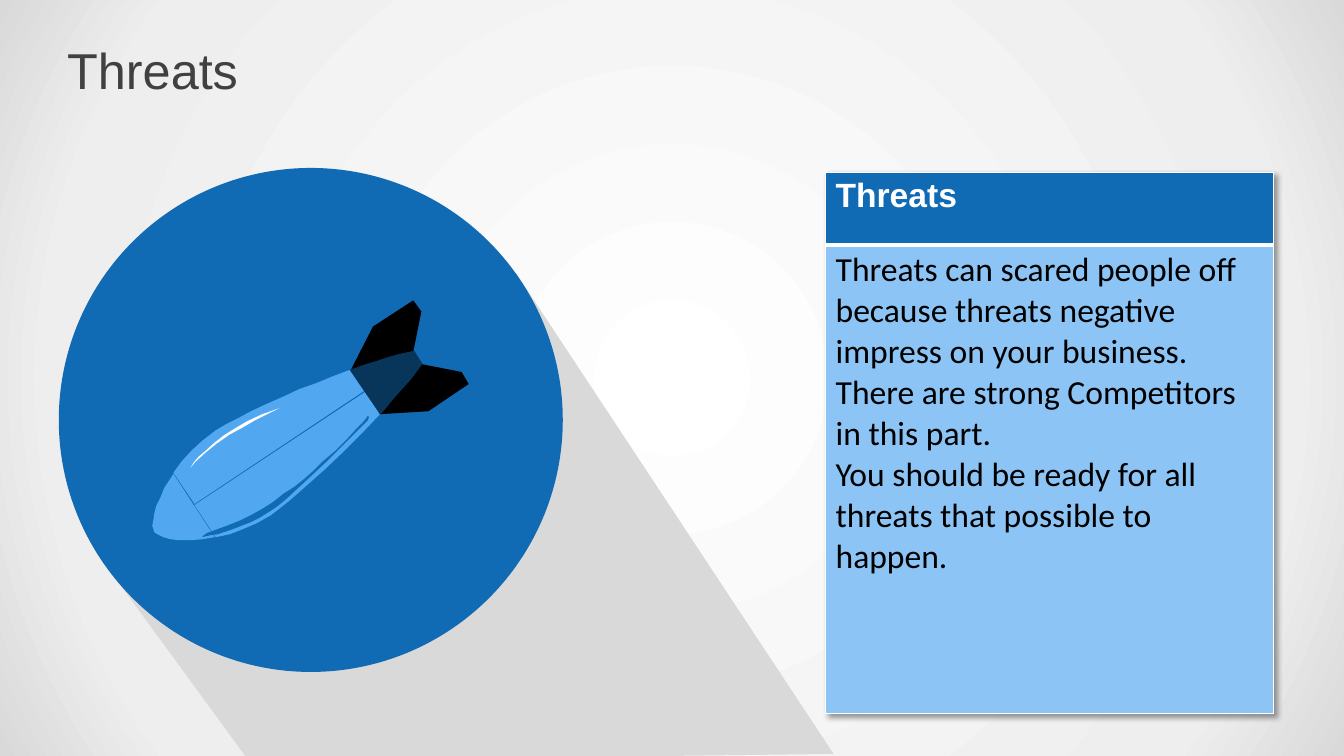
from lxml import etree
from pptx import Presentation
from pptx.dml.color import RGBColor
from pptx.enum import shapes, text
from pptx.oxml import ns
from pptx.util import Pt

WHITE = RGBColor(0xFF, 0xFF, 0xFF)
BLACK = RGBColor(0, 0, 0)
CHARCOAL = RGBColor(0x40, 0x40, 0x40)
SILVER = RGBColor(0xD9, 0xD9, 0xD9)
MIST = RGBColor(0xEE, 0xEE, 0xEE)
BLUE = RGBColor(0x10, 0x6A, 0xB4)
SKY = RGBColor(0x52, 0xA8, 0xF0)
PALE = RGBColor(0x8C, 0xC5, 0xF5)
NAVY = RGBColor(0x08, 0x35, 0x5A)

BACKDROP = ((0, WHITE), (81, MIST), (100, SILVER))
TITLE_FONT = {"name": "Arial", "size": Pt(36), "color": CHARCOAL}
HEADER_FONT = {"name": "Arial", "size": Pt(24), "bold": True, "color": WHITE}
BODY_FONT = {"name": "Calibri", "size": Pt(24), "bold": False, "color": BLACK}
UNIT = Pt(0.72)

LONG_SHADOW = [(512, 271), (827, 748), (247, 755), (95, 547)]
UPPER_FIN = [(410, 298), (418, 309), (408, 359), (347, 369), (370, 324)]
LOWER_FIN = [(407, 359), (458, 369), (465, 381), (425, 408), (375, 411)]
LOWER_BODY = [
    (362, 389), (377, 411), (359, 430), (341, 448), (322, 466), (304, 482),
    (288, 496), (278, 504), (269, 511), (262, 515), (255, 519), (241, 525),
    (228, 530), (214, 533), (193, 501)]
UPPER_BODY = [
    (347, 367), (361, 388), (193, 500), (172, 469), (180, 458), (190, 447),
    (201, 437), (214, 427), (224, 421), (236, 415), (249, 408), (264, 401),
    (280, 394), (297, 386), (314, 380), (331, 373)]
NOSE = [
    (172, 470), (213, 533), (201, 535), (189, 536), (178, 536), (169, 535),
    (162, 533), (156, 530), (153, 528), (152, 524), (151, 522), (152, 517),
    (153, 510), (155, 502), (159, 494), (163, 484), (169, 475)]
TAIL = [
    (411, 348), (419, 361), (414, 368), (408, 376), (400, 385), (391, 395),
    (382, 406), (377, 411), (362, 389), (347, 367), (361, 362), (374, 358),
    (386, 354), (397, 351)]
HIGHLIGHT = [
    (277, 405), (271, 408), (263, 412), (253, 417), (241, 424), (228, 431),
    (215, 440), (204, 449), (194, 458), (189, 464), (192, 459), (197, 453),
    (203, 448), (213, 439), (222, 432), (233, 425), (245, 418), (260, 411)]
SEAM = [
    (365, 412), (366, 414), (365, 417), (360, 422), (351, 431), (339, 443),
    (325, 457), (310, 471), (296, 484), (283, 496), (273, 504), (265, 509),
    (257, 514), (249, 518), (241, 521), (231, 525), (222, 528), (216, 530),
    (209, 531), (204, 532), (201, 533), (201, 532), (205, 529), (213, 526),
    (224, 522), (239, 516), (249, 511), (260, 505), (271, 498), (281, 490),
    (292, 483), (302, 475), (311, 467), (320, 458), (333, 447), (344, 436),
    (353, 426), (360, 419), (364, 414)]
BOMB = (
    (UPPER_FIN, BLACK), (LOWER_FIN, BLACK), (LOWER_BODY, SKY),
    (UPPER_BODY, SKY), (NOSE, SKY), (TAIL, NAVY), (HIGHLIGHT, WHITE),
    (SEAM, BLUE))

THREATS = (
    "Threats can scared people off because threats negative impress on your business.",
    "There are strong Competitors in this part.",
    "You should be ready for all threats that possible to happen.")


def add_xml(parent, tag, **attributes):
    return etree.SubElement(parent, ns.qn(tag), attributes)


class SlideBuilder:
    def __init__(self, deck):
        self.slide = deck.slides.add_slide(deck.slide_layouts[5])

    def set_values(self, target, values):
        for name, value in values.items():
            setattr(target, name, value)

    def format_span(self, span, style):
        self.set_values(span.font, {k: v for k, v in style.items() if k != "color"})
        span.font.color.rgb = style["color"]

    def fill_text(self, frame, lines, style):
        for index, line in enumerate(lines):
            para = frame.paragraphs[0] if index == 0 else frame.add_paragraph()
            para.alignment = text.PP_ALIGN.LEFT
            span = para.add_run()
            span.text = line
            self.format_span(span, style)

    def radial_background(self, stops):
        self.slide.background.fill.gradient()
        gradient = self.slide.element.xpath("./p:cSld/p:bg//a:gradFill")[0]
        for child in list(gradient):
            gradient.remove(child)
        stop_list = add_xml(gradient, "a:gsLst")
        for position, color in stops:
            stop = add_xml(stop_list, "a:gs", pos=str(position * 1000))
            add_xml(stop, "a:srgbClr", val=str(color))
        circle = add_xml(gradient, "a:path", path="circle")
        add_xml(circle, "a:fillToRect", **dict.fromkeys("ltrb", "50000"))

    def title(self, words, left, top, width, height):
        box = self.slide.shapes.title
        self.set_values(box, {"left": left, "top": top, "width": width, "height": height})
        frame = box.text_frame
        self.set_values(frame, {
            "margin_left": 0, "margin_right": 0, "margin_top": Pt(5),
            "margin_bottom": Pt(5), "word_wrap": True,
            "auto_size": text.MSO_AUTO_SIZE.NONE,
            "vertical_anchor": text.MSO_ANCHOR.MIDDLE})
        self.fill_text(frame, [words], TITLE_FONT)

    def paint(self, shape, color):
        shape.shadow.inherit = False
        shape.fill.solid()
        shape.fill.fore_color.rgb = color
        shape.line.fill.background()

    def circle(self, left, top, size, color):
        oval = shapes.MSO_SHAPE.OVAL
        self.paint(self.slide.shapes.add_shape(oval, left, top, size, size), color)

    def outline(self, points, color, group=None):
        parent = (group or self.slide).shapes
        builder = parent.build_freeform(*points[0], scale=UNIT)
        builder.add_line_segments(points[1:], close=True)
        self.paint(builder.convert_to_shape(), color)

    def drawing(self, parts):
        group = self.slide.shapes.add_group_shape()
        for points, color in parts:
            self.outline(points, color, group)

    def border(self, cell, widths):
        properties = cell._tc.get_or_add_tcPr()
        for side, width in zip("LRTB", widths):
            line = add_xml(properties, f"a:ln{side}", w=str(Pt(width)))
            add_xml(add_xml(line, "a:solidFill"), "a:srgbClr", val=str(WHITE))

    def table(self, left, top, width, rows):
        total = sum(row[0] for row in rows)
        frame = self.slide.shapes.add_table(len(rows), 1, left, top, width, total)
        table = frame.table
        for index, (height, lines, style, color, widths) in enumerate(rows):
            table.rows[index].height = height
            cell = table.cell(index, 0)
            self.border(cell, widths)
            cell.fill.solid()
            cell.fill.fore_color.rgb = color
            self.fill_text(cell.text_frame, lines, style)
        effects = etree.Element(ns.qn("a:effectLst"))
        shadow = add_xml(effects, "a:outerShdw", blurRad=str(Pt(4)),
                         dist=str(Pt(3)), dir="2700000", algn="tl", rotWithShape="0")
        add_xml(add_xml(shadow, "a:srgbClr", val=str(BLACK)), "a:alpha", val="40000")
        table._tbl.tblPr.insert(0, effects)


deck = Presentation()
deck.slide_width, deck.slide_height = Pt(960), Pt(540)
page = SlideBuilder(deck)
page.radial_background(BACKDROP)
page.title("Threats", Pt(48), Pt(21.6), Pt(864), Pt(56))
page.table(Pt(589.7), Pt(123.1), Pt(319.7), (
    (Pt(51.8), ["Threats"], HEADER_FONT, BLUE, (1, 1, 1, 3)),
    (Pt(334.8), THREATS, BODY_FONT, PALE, (1, 1, 3, 1))))
page.outline(LONG_SHADOW, SILVER)
page.circle(Pt(42), Pt(120), Pt(360), BLUE)
page.drawing(BOMB)
deck.save("out.pptx")
